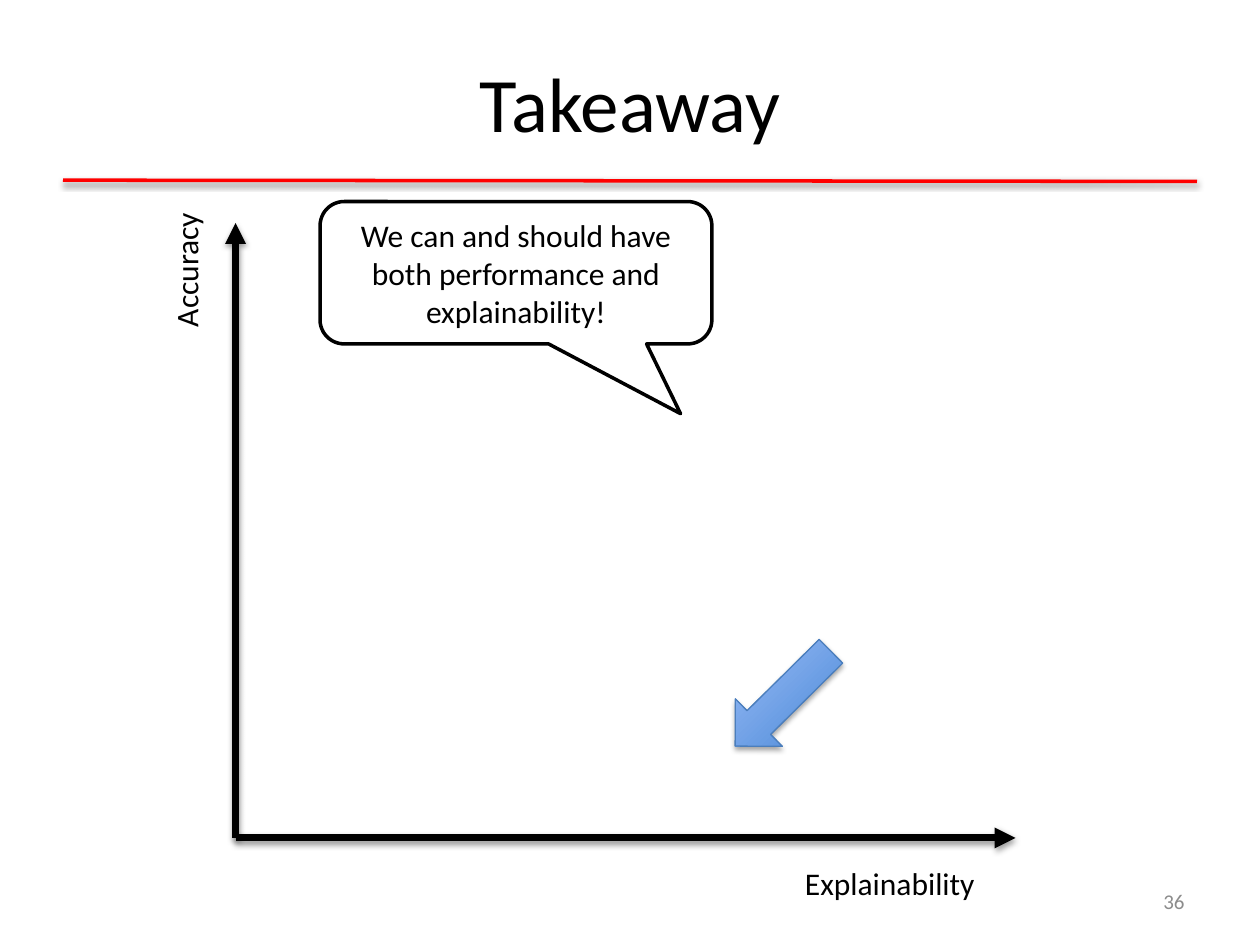
from lxml import etree
from pptx import Presentation
from pptx.dml.color import RGBColor
from pptx.enum.shapes import MSO_CONNECTOR, MSO_SHAPE
from pptx.enum.text import MSO_ANCHOR, MSO_AUTO_SIZE, PP_ALIGN
from pptx.oxml.ns import qn
from pptx.util import Inches, Pt

BLACK = RGBColor(0x00, 0x00, 0x00)
WHITE = RGBColor(0xFF, 0xFF, 0xFF)
RED = RGBColor(0xFF, 0x00, 0x00)
GRAY = RGBColor(0x8C, 0x8C, 0x8C)
DEEP = RGBColor(0x3F, 0x80, 0xCE)
PALE = RGBColor(0xA4, 0xC4, 0xFF)
EDGE = RGBColor(0x4B, 0x7E, 0xBC)

LEFT, MID, RIGHT = PP_ALIGN.LEFT, PP_ALIGN.CENTER, PP_ALIGN.RIGHT
TOP, CENTER = MSO_ANCHOR.TOP, MSO_ANCHOR.MIDDLE
FIT = MSO_AUTO_SIZE.SHAPE_TO_FIT_TEXT
STRAIGHT = MSO_CONNECTOR.STRAIGHT
ARROW = MSO_SHAPE.LEFT_ARROW
BUBBLE = MSO_SHAPE.ROUNDED_RECTANGULAR_CALLOUT

WIDE, HIGH = Inches(10), Inches(7.5)
COLS, ROWS = 100, 75


def grid(box, x, y):
    """Turn columns and rows within a box into slide lengths."""
    return round((box[0] + x) * WIDE / COLS), round((box[1] + y) * HIGH / ROWS)


def area(box, x, y, w, h):
    """Return left, top, width and height of a part within a box."""
    return *grid(box, x, y), *grid((0, 0), w, h)


def write(shape, text, size, color=BLACK, align=LEFT, anchor=TOP, wrap=True):
    """Fill a shape with one formatted paragraph."""
    frame = shape.text_frame
    frame.text = text
    frame.word_wrap = wrap
    frame.vertical_anchor = anchor
    para = frame.paragraphs[0]
    para.alignment = align
    font = para.runs[0].font
    font.name, font.size, font.color.rgb = "Calibri", Pt(size), color


def shade(shape, alpha, gap):
    """Cast a soft black shadow straight down."""
    effects = etree.SubElement(shape._element.spPr, qn("a:effectLst"))
    outer = etree.SubElement(
        effects, qn("a:outerShdw"), blurRad=str(Pt(3.1)), dist=str(Pt(gap)),
        dir="5400000", rotWithShape="0")
    black = etree.SubElement(outer, qn("a:srgbClr"), val=str(BLACK))
    etree.SubElement(black, qn("a:alpha"), val=str(alpha * 1000))


def stroke(slide, start, end, color, width, head=False):
    """Draw a shadowed line, with an arrowhead if asked."""
    line = slide.shapes.add_connector(STRAIGHT, *start, *end)
    line.line.color.rgb = color
    line.line.width = Pt(width)
    if head:
        etree.SubElement(
            line.line._get_or_add_ln(), qn("a:tailEnd"), type="triangle")
    shade(line, 38, 1.6)


def label(slide, box, text, turn=0):
    """Add an axis name that keeps to one line."""
    name = slide.shapes.add_textbox(*box)
    write(name, text, 18, wrap=False)
    name.text_frame.auto_size = FIT
    name.rotation = turn


def header(slide, box):
    """Place the title and the red rule below it."""
    wide, high = box[2:]
    title = slide.shapes.title
    title.left, title.top, title.width, title.height = area(
        box, 0, 0, wide, high - 1.2)
    write(title, "Takeaway", 44, align=MID, anchor=CENTER)
    stroke(slide, grid(box, 0, high - 0.1), grid(box, wide, high), RED, 2)


def axes(slide, box):
    """Draw both axes from the lower left corner and name them."""
    wide, high = box[2:]
    base = grid(box, 0, high)
    stroke(slide, base, grid(box, wide, high), BLACK, 4, True)
    stroke(slide, base, grid(box, 0, 0), BLACK, 4, True)
    label(slide, area(box, wide - 17.7, high + 1.6, 15.6, 4), "Explainability")
    label(slide, area(box, -9.6, 1.6, 11.3, 4), "Accuracy", 270)


def pointer(slide, box):
    """Place the slanted blue arrow."""
    arrow = slide.shapes.add_shape(ARROW, *area(box, 0, 0, *box[2:]))
    arrow.rotation = 315.3
    arrow.fill.gradient()
    arrow.fill.gradient_angle = 90
    for stop, color in zip(arrow.fill.gradient_stops, (DEEP, PALE)):
        stop.color.rgb = color
    arrow.line.color.rgb = EDGE
    arrow.line.width = Pt(0.75)
    shade(arrow, 35, 1.8)


def speech(slide, box):
    """Place the callout with the message."""
    bubble = slide.shapes.add_shape(BUBBLE, *area(box, 0, 0, *box[2:]))
    for spot, share in enumerate((0.42, 0.99, 0.17)):
        bubble.adjustments[spot] = share
    bubble.shadow.inherit = False
    bubble.fill.solid()
    bubble.fill.fore_color.rgb = WHITE
    bubble.line.color.rgb = BLACK
    bubble.line.width = Pt(2)
    write(bubble, "We can and should have both performance and explainability!",
          18, align=MID, anchor=CENTER)


def footer(slide, box):
    """Place the page number."""
    page = slide.shapes.add_textbox(*area(box, 0, 0, *box[2:]))
    write(page, "36", 12, GRAY, RIGHT, CENTER)


def main():
    """Build the slide and save it."""
    deck = Presentation()
    deck.slide_width, deck.slide_height = WIDE, HIGH
    slide = deck.slides.add_slide(deck.slide_layouts[5])
    header(slide, (5, 3, 90, 11.4))
    footer(slide, (71.7, 69.5, 23.3, 4))
    axes(slide, (18.7, 17.7, 61.9, 48.8))
    pointer(slide, (56.8, 52.8, 10.7, 5.3))
    speech(slide, (25.4, 16, 31.1, 11.3))
    deck.save("out.pptx")


if __name__ == "__main__":
    main()
